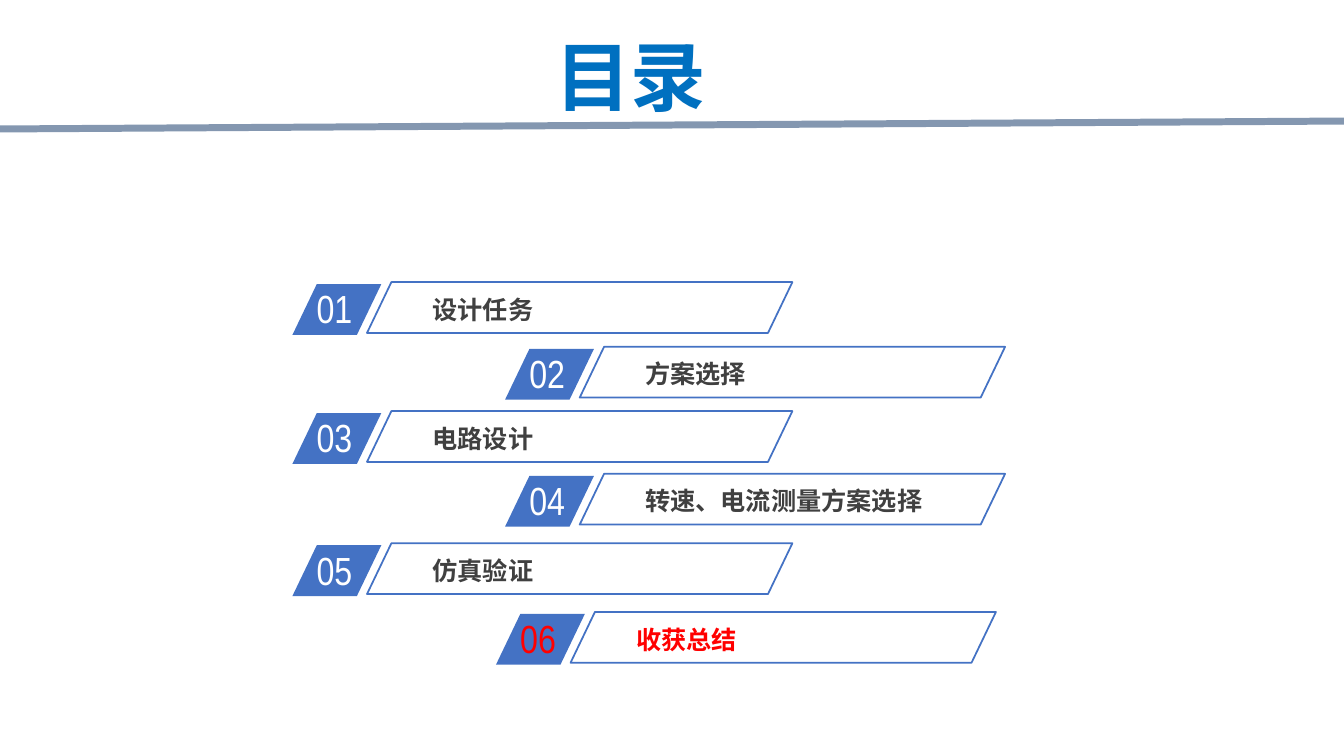
"""Build the contents slide with six staggered, numbered entries."""
from lxml import etree
from pptx import Presentation
from pptx.dml.color import RGBColor
from pptx.enum.shapes import MSO_CONNECTOR, MSO_SHAPE
from pptx.enum.text import PP_ALIGN
from pptx.oxml.ns import qn
from pptx.util import Cm, Pt

PARALLELOGRAM = MSO_SHAPE.PARALLELOGRAM
STRAIGHT = MSO_CONNECTOR.STRAIGHT
JUSTIFY = PP_ALIGN.JUSTIFY
COLORS = {"title": "0070C0", "rule": "8497B0", "accent": "4472C4",
          "number": "FFFFFF", "label": "404040", "current": "FF0000"}
HEADING_FONT = "Noto Sans CJK SC"
NUMBER_FONT = "Arial Narrow"
LEFT, RIGHT, LAST = 7.37, 12.73, 12.5
ENTRIES = [
    ("设计任务", LEFT, 7.16),
    ("方案选择", RIGHT, 8.79),
    ("电路设计", LEFT, 10.41),
    ("转速、电流测量方案选择", RIGHT, 11.99),
    ("仿真验证", LEFT, 13.74),
    ("收获总结", LAST, 15.47),
]


def add_text(parent, text, left, top, width, height, size, font, color, bold=False):
    box = parent.add_textbox(Cm(left), Cm(top), Cm(width), Cm(height))
    frame = box.text_frame
    frame.word_wrap = True
    frame.text = text
    run = frame.paragraphs[0].runs[0]
    run.font.size = Pt(size)
    run.font.name = font
    run.font.bold = bold
    run.font.color.rgb = RGBColor.from_string(COLORS[color])
    etree.SubElement(run.font._element, qn("a:ea"), typeface=font)
    return frame


def add_slant(parent, left, top, width):
    slant = parent.add_shape(PARALLELOGRAM, Cm(left), Cm(top), Cm(width), Cm(1.28))
    slant.adjustments[0] = 0.48
    slant.shadow.inherit = False
    return slant


deck = Presentation()
deck.slide_width, deck.slide_height = Cm(33.87), Cm(19.05)
slide = deck.slides.add_slide(deck.slide_layouts[6])
accent = RGBColor.from_string(COLORS["accent"])

title = add_text(slide.shapes, "目录", 13.74, 0.64, 5.03, 2.57, 54, HEADING_FONT, "title", True)
title.paragraphs[0].alignment = JUSTIFY

rule = slide.shapes.add_connector(STRAIGHT, Cm(0), Cm(3.25), Cm(33.87), Cm(3.05))
rule.line.color.rgb = RGBColor.from_string(COLORS["rule"])
rule.line.width = Pt(5)
etree.SubElement(rule._element.spPr, qn("a:effectLst"))

for number, (label, left, top) in enumerate(ENTRIES, start=1):
    current = number == len(ENTRIES)
    badge = slide.shapes.add_group_shape().shapes
    tile = add_slant(badge, left, top, 2.24)
    tile.fill.solid()
    tile.fill.fore_color.rgb = accent
    tile.line.fill.background()
    add_text(badge, f"{number:02d}", left + 0.36, top - 0.11, 2.13, 1.25, 28,
             NUMBER_FONT, "current" if current else "number")

    entry = slide.shapes.add_group_shape().shapes
    caption = add_text(entry, label, left + 3.35, top + 0.15, 7.85, 0.97, 18,
                       HEADING_FONT, "current" if current else "label", True)
    caption.margin_left = caption.margin_right = Cm(0.18)
    caption.margin_top = caption.margin_bottom = Cm(0.1)
    border = add_slant(entry, left + 1.88, top - 0.05, 10.72)
    border.fill.background()
    border.line.color.rgb = accent
    border.line.width = Pt(1.25)

deck.save("out.pptx")
